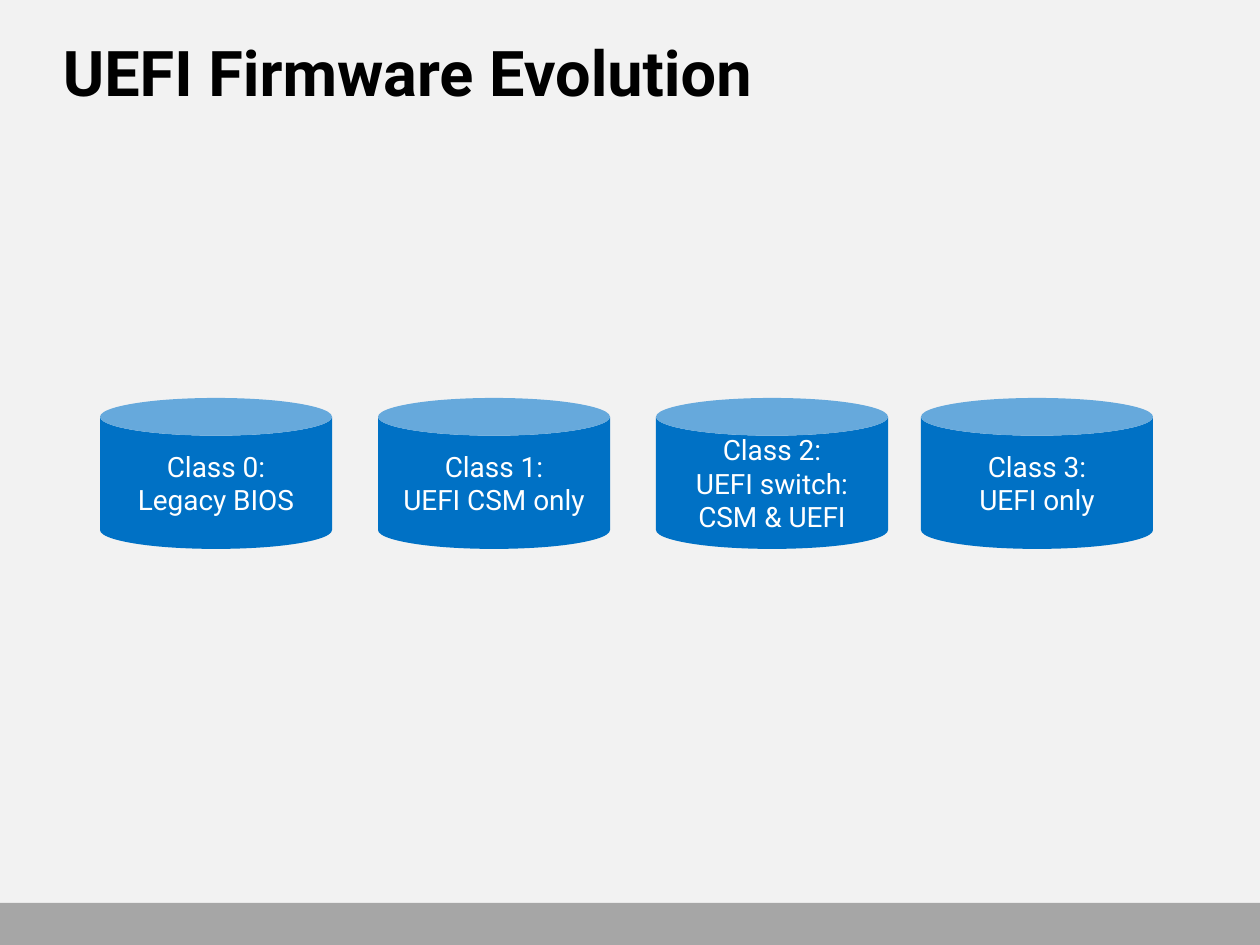
import pptx
import pptx.util
from pptx.dml.color import RGBColor
from pptx.enum.shapes import MSO_SHAPE
from pptx.enum.text import MSO_ANCHOR, PP_ALIGN

PX = 914400 // 126  # EMU in one px
FONT = "Roboto"
BACKGROUND = RGBColor(0xF2, 0xF2, 0xF2)
FOOTER_GRAY = RGBColor(0xA6, 0xA6, 0xA6)
CAN_BLUE = RGBColor(0x00, 0x71, 0xC5)
BLACK = RGBColor(0x00, 0x00, 0x00)
WHITE = RGBColor(0xFF, 0xFF, 0xFF)

# Left edge within the row, then the lines of the label
CLASSES = [
    (0, ["Class 0:", "Legacy BIOS"]),
    (278, ["Class 1:", "UEFI CSM only"]),
    (556, ["Class 2:", "UEFI switch:", "CSM & UEFI"]),
    (821, ["Class 3:", "UEFI only"]),
]
CAN_WIDTH = 232


def add_filled_shape(slide, kind, box, color):
    shape = slide.shapes.add_shape(kind, *(length * PX for length in box))
    shape.shadow.inherit = False
    shape.fill.solid()
    shape.fill.fore_color.rgb = color
    shape.line.fill.background()
    return shape


def write_lines(text_frame, lines, size, color, alignment, bold=False):
    text_frame.word_wrap = True
    for index, line in enumerate(lines):
        paragraph = text_frame.paragraphs[0] if index == 0 else text_frame.add_paragraph()
        paragraph.alignment = alignment
        run = paragraph.add_run()
        run.text = line
        run.font.name = FONT
        run.font.size = pptx.util.Pt(size)
        run.font.bold = bold
        run.font.color.rgb = color


def add_title(slide, box):
    title = slide.shapes.add_textbox(*(length * PX for length in box))
    text_frame = title.text_frame
    text_frame.margin_left = text_frame.margin_right = 0
    text_frame.margin_top = text_frame.margin_bottom = 0
    text_frame.vertical_anchor = MSO_ANCHOR.TOP
    write_lines(text_frame, ["UEFI Firmware Evolution"], 36, BLACK, PP_ALIGN.LEFT, bold=True)


def add_class_row(slide, box):
    left, top, width, height = box
    for offset, lines in CLASSES:
        can = add_filled_shape(
            slide, MSO_SHAPE.CAN, (left + offset, top, CAN_WIDTH, height), CAN_BLUE)
        can.text_frame.vertical_anchor = MSO_ANCHOR.MIDDLE
        write_lines(can.text_frame, lines, 16, WHITE, PP_ALIGN.CENTER)


def main():
    presentation = pptx.Presentation()
    presentation.slide_width = pptx.util.Inches(10)
    presentation.slide_height = pptx.util.Inches(7.5)
    slide = presentation.slides.add_slide(presentation.slide_layouts[6])
    slide.background.fill.solid()
    slide.background.fill.fore_color.rgb = BACKGROUND

    # Footer bar
    add_filled_shape(slide, MSO_SHAPE.RECTANGLE, (0, 903, 1261, 42), FOOTER_GRAY)
    # Title
    add_title(slide, (63, 34, 1134, 136))
    # Firmware classes
    add_class_row(slide, (100, 398, 1053, 151))

    presentation.save("out.pptx")


if __name__ == "__main__":
    main()
